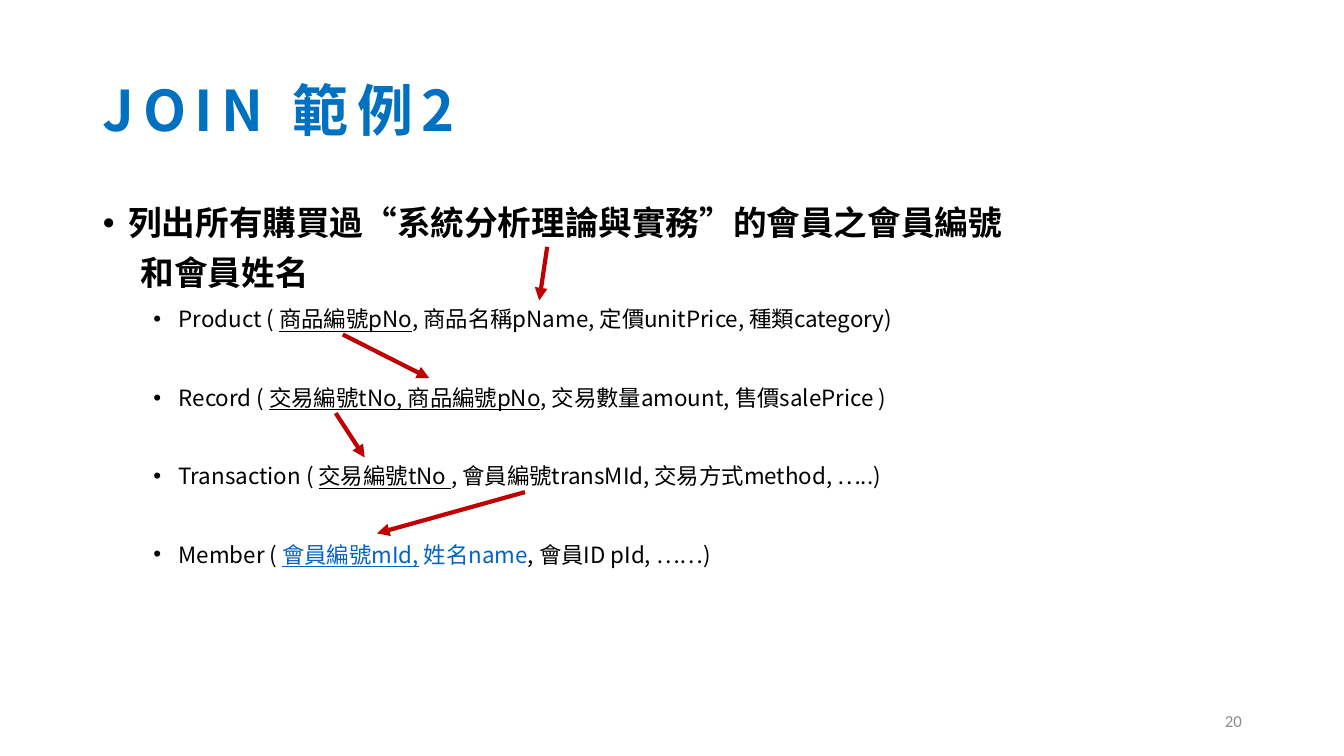
"""Build the slide that traces a JOIN across four tables."""
from dataclasses import dataclass

from lxml.etree import SubElement
from pptx import Presentation
from pptx.dml.color import RGBColor
from pptx.enum.shapes import MSO_CONNECTOR
from pptx.enum.text import MSO_ANCHOR, MSO_AUTO_SIZE, PP_ALIGN
from pptx.oxml.ns import qn
from pptx.util import Cm, Pt


@dataclass(frozen=True)
class Theme:
    font: str = "Noto Sans CJK SC"
    number_font: str = "Calibri"
    title: RGBColor = RGBColor(0x00, 0x70, 0xC0)
    text: RGBColor = RGBColor(0x00, 0x00, 0x00)
    answer: RGBColor = RGBColor(0x05, 0x63, 0xC1)
    arrow: RGBColor = RGBColor(0xC0, 0x00, 0x00)
    number: RGBColor = RGBColor(0x8C, 0x8C, 0x8C)
    title_size: Pt = Pt(40)
    question_size: Pt = Pt(24)
    schema_size: Pt = Pt(16)
    number_size: Pt = Pt(12)
    arrow_width: Pt = Pt(3)


THEME = Theme()


def style_run(run, size, color, bold=False, underline=False, font=THEME.font):
    run.font.size = size
    run.font.bold = bold
    run.font.underline = underline
    run.font.color.rgb = color
    run.font.name = font
    SubElement(run.font._element, qn("a:ea"), typeface=font)


def set_layout(paragraph, left, hanging, bullet, spacing, before):
    properties = paragraph._p.get_or_add_pPr()
    properties.set("marL", str(Cm(left)))
    properties.set("indent", str(-Cm(hanging)))
    if bullet:
        SubElement(properties, qn("a:buFont"), typeface="Arial")
        SubElement(properties, qn("a:buChar"), char="•")
    else:
        SubElement(properties, qn("a:buNone"))
    paragraph.alignment = PP_ALIGN.LEFT
    paragraph.line_spacing = spacing
    paragraph.space_before = Pt(before)
    paragraph.space_after = Pt(0)


presentation = Presentation()
presentation.slide_width, presentation.slide_height = Cm(33.87), Cm(19.05)
slide = presentation.slides.add_slide(presentation.slide_layouts[1])

heading = slide.shapes.title
heading.left, heading.top, heading.width, heading.height = Cm(2.34), Cm(1.02), Cm(29.21), Cm(3.68)
heading.text_frame.text = "JOIN 範例2"
heading.text_frame.vertical_anchor = MSO_ANCHOR.MIDDLE
heading.text_frame.auto_size = MSO_AUTO_SIZE.NONE
heading_line = heading.text_frame.paragraphs[0]
heading_line.alignment = PP_ALIGN.LEFT
heading_line.line_spacing = 0.9
style_run(heading_line.runs[0], THEME.title_size, THEME.title, bold=True)
heading_line.runs[0].font._element.set("spc", "600")

content = slide.placeholders[1]
content.left, content.top, content.width, content.height = Cm(2.34), Cm(5.08), Cm(29.21), Cm(12.09)
content.text_frame.auto_size = MSO_AUTO_SIZE.NONE
content.text_frame.text = "列出所有購買過“系統分析理論與實務”的會員之會員編號"
question = content.text_frame.paragraphs[0]
set_layout(question, 0.64, 0.64, True, 0.9, 0)
question_rest = content.text_frame.add_paragraph()
question_rest.text = "和會員姓名"
set_layout(question_rest, 0.95, 0, False, 0.9, 10)
for line in (question, question_rest):
    style_run(line.runs[0], THEME.question_size, THEME.text, bold=True)

schemas = [
    ("Product (", "商品編號pNo", "", ", 商品名稱pName, 定價unitPrice, 種類category)"),
    ("Record (", "交易編號tNo, 商品編號pNo", "", ", 交易數量amount, 售價salePrice )"),
    ("Transaction (", "交易編號tNo ", "", ", 會員編號transMId, 交易方式method, …..)"),
    ("Member (", "會員編號mId,", " 姓名name", ", 會員ID pId, ……)"),
]
for row, (table, key, answer, columns) in enumerate(schemas):
    schema = content.text_frame.add_paragraph()
    schema.level = 1
    set_layout(schema, 1.91, 0.64, True, 1.2, 33 if row else 5)
    key_color = THEME.answer if answer else THEME.text
    parts = [
        (table + " ", THEME.text, False),
        (key, key_color, True),
        (answer, THEME.answer, False),
        (columns, THEME.text, False),
    ]
    for words, color, underline in parts:
        if words:
            run = schema.add_run()
            run.text = words
            style_run(run, THEME.schema_size, color, underline=underline)

join_steps = [
    (8.64, 8.43, 10.82, 9.53),
    (8.46, 10.41, 9.19, 11.53),
    (13.23, 12.4, 9.5, 13.44),
    (13.79, 6.22, 13.59, 7.57),
]
for step in join_steps:
    arrow = slide.shapes.add_connector(MSO_CONNECTOR.STRAIGHT, *map(Cm, step))
    arrow.line.color.rgb = THEME.arrow
    arrow.line.width = THEME.arrow_width
    SubElement(arrow.line._get_or_add_ln(), qn("a:tailEnd"), type="triangle")
    SubElement(arrow._element.spPr, qn("a:effectLst"))

page_number = slide.shapes.add_textbox(Cm(23.93), Cm(17.65), Cm(7.62), Cm(1.02))
page_number.text_frame.text = "20"
page_number.text_frame.word_wrap = True
page_number.text_frame.vertical_anchor = MSO_ANCHOR.MIDDLE
page_line = page_number.text_frame.paragraphs[0]
page_line.alignment = PP_ALIGN.RIGHT
style_run(page_line.runs[0], THEME.number_size, THEME.number, font=THEME.number_font)

presentation.save("out.pptx")
